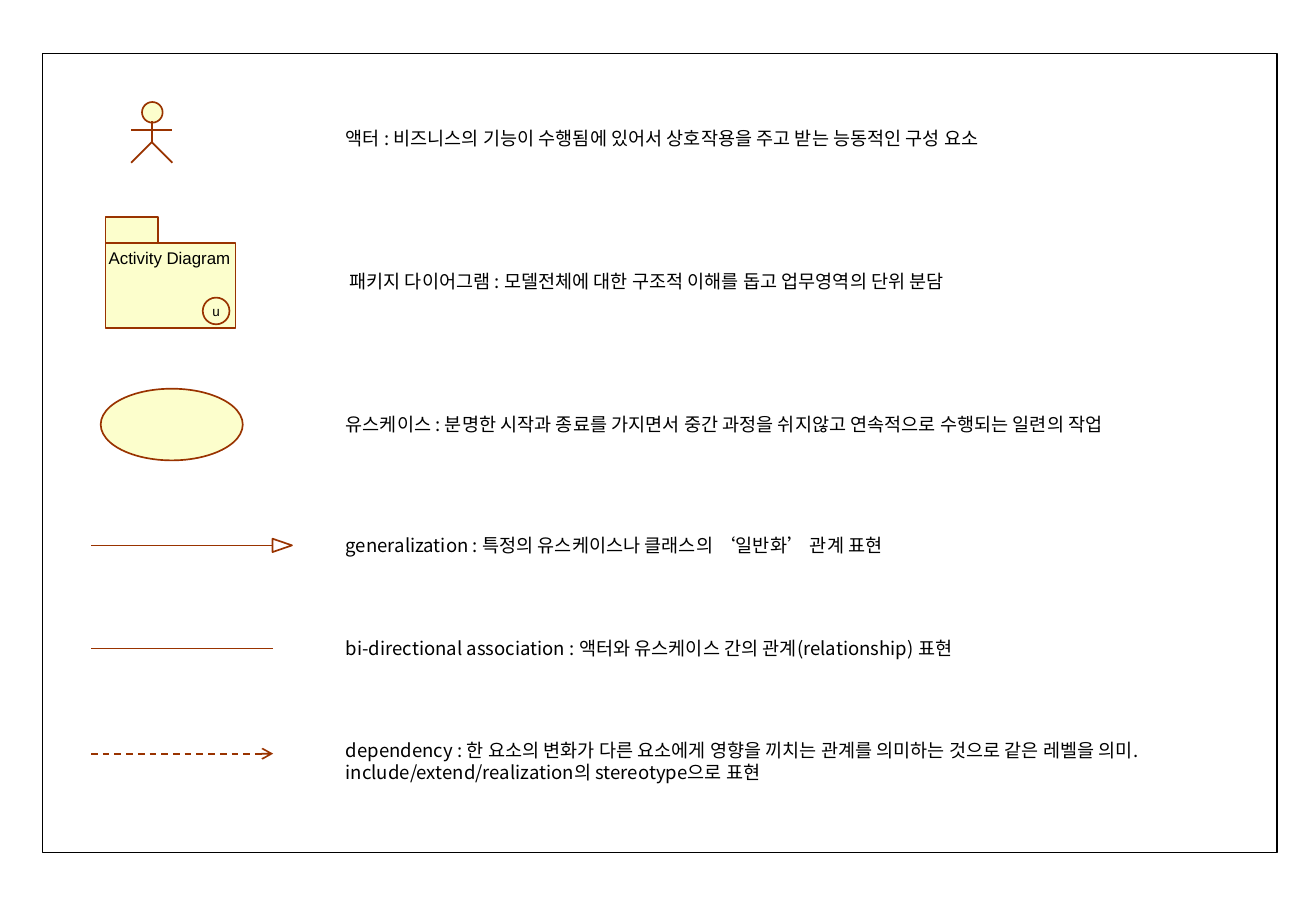
from dataclasses import dataclass

from lxml import etree
from pptx import Presentation
from pptx.dml.color import RGBColor
from pptx.enum.dml import MSO_LINE
from pptx.enum.shapes import MSO_CONNECTOR, MSO_SHAPE
from pptx.enum.text import MSO_ANCHOR, PP_ALIGN
from pptx.oxml.ns import qn
from pptx.util import Emu, Inches, Pt

RECT, OVAL, TRIANGLE = MSO_SHAPE.RECTANGLE, MSO_SHAPE.OVAL, MSO_SHAPE.ISOSCELES_TRIANGLE
STRAIGHT, DASH = MSO_CONNECTOR.STRAIGHT, MSO_LINE.DASH
LEFT, CENTER = PP_ALIGN.LEFT, PP_ALIGN.CENTER
TOP, MIDDLE = MSO_ANCHOR.TOP, MSO_ANCHOR.MIDDLE

COLORS = {"symbol": "FCFECC", "outline": "993300", "ink": "000000"}
KOREAN, LATIN = "Noto Sans CJK KR", "Arial"

# Grid of square cells; all places below are in columns and rows
CELL = Inches(0.1)
COLUMNS, ROWS = 108.4, 75
LINE_START, LINE_END = 7.5, 22.5
TEXT_COLUMN = 27.5


@dataclass(frozen=True)
class Figure:
    preset: MSO_SHAPE
    col: float
    row: float
    cols: float
    rows: float
    fill: str | None = "symbol"
    line: str = "outline"
    turn: float = 0


@dataclass(frozen=True)
class Stroke:
    col1: float
    row1: float
    col2: float
    row2: float
    dashed_arrow: bool = False


@dataclass(frozen=True)
class Meaning:
    text: str
    row: float
    cols: float
    rows: float = 2.9
    col: float = TEXT_COLUMN


def cells(count: float) -> Emu:
    return Emu(round(count * CELL))


def rgb(name: str) -> RGBColor:
    return RGBColor.from_string(COLORS[name])


def draw_figure(shapes, figure: Figure):
    shape = shapes.add_shape(figure.preset, cells(figure.col), cells(figure.row),
                             cells(figure.cols), cells(figure.rows))
    shape.shadow.inherit = False
    shape.rotation = figure.turn
    if figure.fill:
        shape.fill.solid()
        shape.fill.fore_color.rgb = rgb(figure.fill)
    else:
        shape.fill.background()
    shape.line.color.rgb = rgb(figure.line)
    shape.line.width = Pt(1)
    return shape


def draw_stroke(shapes, stroke: Stroke) -> None:
    connector = shapes.add_connector(STRAIGHT, cells(stroke.col1), cells(stroke.row1),
                                     cells(stroke.col2), cells(stroke.row2))
    connector.line.color.rgb = rgb("outline")
    connector.line.width = Pt(1)
    if stroke.dashed_arrow:
        connector.line.dash_style = DASH
        outline = connector.line._get_or_add_ln()
        etree.SubElement(outline, qn("a:tailEnd"), type="arrow")
    etree.SubElement(connector._element.spPr, qn("a:effectLst"))


def write(frame, text: str, size: float, font: str, align=LEFT, anchor=TOP,
          wrap: bool = True, side: float = 1):
    frame.word_wrap = wrap
    frame.vertical_anchor = anchor
    frame.margin_left = frame.margin_right = cells(side)
    frame.margin_top = frame.margin_bottom = cells(0.5)
    paragraph = frame.paragraphs[0]
    paragraph.alignment = align
    run = paragraph.add_run()
    run.text = text
    run.font.size = Pt(size)
    run.font.name = font
    run.font.color.rgb = rgb("ink")
    etree.SubElement(run._r.get_or_add_rPr(), qn("a:ea"), typeface=font)
    return paragraph


def write_meaning(shapes, meaning: Meaning) -> None:
    box = shapes.add_textbox(cells(meaning.col), cells(meaning.row),
                             cells(meaning.cols), cells(meaning.rows))
    paragraph = write(box.text_frame, meaning.text, 11, KOREAN)
    paragraph.line_spacing = Pt(13)


USE_CASE = Figure(OVAL, 8.3, 32, 11.7, 5.9)
GENERALIZATION_HEAD = Figure(TRIANGLE, 22.7, 44.1, 1.1, 1.6, fill=None, turn=90)
FRAME = Figure(RECT, 3.5, 4.4, 101.7, 65.8, fill=None, line="ink")
ACTOR_HEAD = Figure(OVAL, 11.7, 8.4, 1.7, 1.7)
PACKAGE_BODY = Figure(RECT, 8.7, 20, 10.7, 7)
PACKAGE_TAB = Figure(RECT, 8.7, 17.85, 4.3, 2.15)
PACKAGE_BADGE = Figure(OVAL, 16.7, 24.5, 2.2, 2.2)

RELATIONS = [
    Stroke(LINE_START, 44.9, LINE_END, 44.9),
    Stroke(LINE_START, 53.4, LINE_END, 53.4),
    Stroke(LINE_START, 62.05, LINE_END, 62.05, dashed_arrow=True),
]
ACTOR_LIMBS = [
    Stroke(12.5, 10, 12.5, 11.7),
    Stroke(10.8, 10.7, 14.2, 10.7),
    Stroke(12.5, 11.7, 10.8, 13.4),
    Stroke(12.5, 11.7, 14.2, 13.4),
]
MEANINGS = [
    Meaning("액터 : 비즈니스의 기능이 수행됨에 있어서 상호작용을 주고 받는 능동적인 구성 요소",
            10, 66),
    Meaning("패키지 다이어그램 : 모델전체에 대한 구조적 이해를 돕고 업무영역의 단위 분담",
            21.8, 73.1, col=27.8),
    Meaning("유스케이스 : 분명한 시작과 종료를 가지면서 중간 과정을 쉬지않고 연속적으로 수행되는 일련의 작업",
            33.5, 75.5),
    Meaning("generalization : 특정의 유스케이스나 클래스의 ‘일반화’ 관계 표현", 43.5, 59),
    Meaning("bi-directional association : 액터와 유스케이스 간의 관계(relationship) 표현",
            52, 59.7, 4.7),
    Meaning("dependency : 한 요소의 변화가 다른 요소에게 영향을 끼치는 관계를 의미하는 것으로 "
            "같은 레벨을 의미. include/extend/realization의 stereotype으로 표현",
            60.4, 77.8, 4.7),
]


def main() -> None:
    deck = Presentation()
    deck.slide_width, deck.slide_height = cells(COLUMNS), cells(ROWS)
    shapes = deck.slides.add_slide(deck.slide_layouts[6]).shapes

    # Use case, relations and frame
    draw_figure(shapes, USE_CASE)
    for relation in RELATIONS:
        draw_stroke(shapes, relation)
    draw_figure(shapes, GENERALIZATION_HEAD)
    draw_figure(shapes, FRAME)

    # Actor
    draw_figure(shapes, ACTOR_HEAD)
    for limb in ACTOR_LIMBS:
        draw_stroke(shapes, limb)

    # Package
    draw_figure(shapes, PACKAGE_BODY)
    draw_figure(shapes, PACKAGE_TAB)
    badge = draw_figure(shapes, PACKAGE_BADGE)
    write(badge.text_frame, "u", 8, LATIN, CENTER, MIDDLE, wrap=False)
    package_title = shapes.add_textbox(cells(8.5), cells(19.9), cells(10.9), cells(2.7))
    write(package_title.text_frame, "Activity Diagram", 10, LATIN, CENTER, side=0.2)

    # Meanings
    for meaning in MEANINGS:
        write_meaning(shapes, meaning)

    deck.save("out.pptx")


if __name__ == "__main__":
    main()
